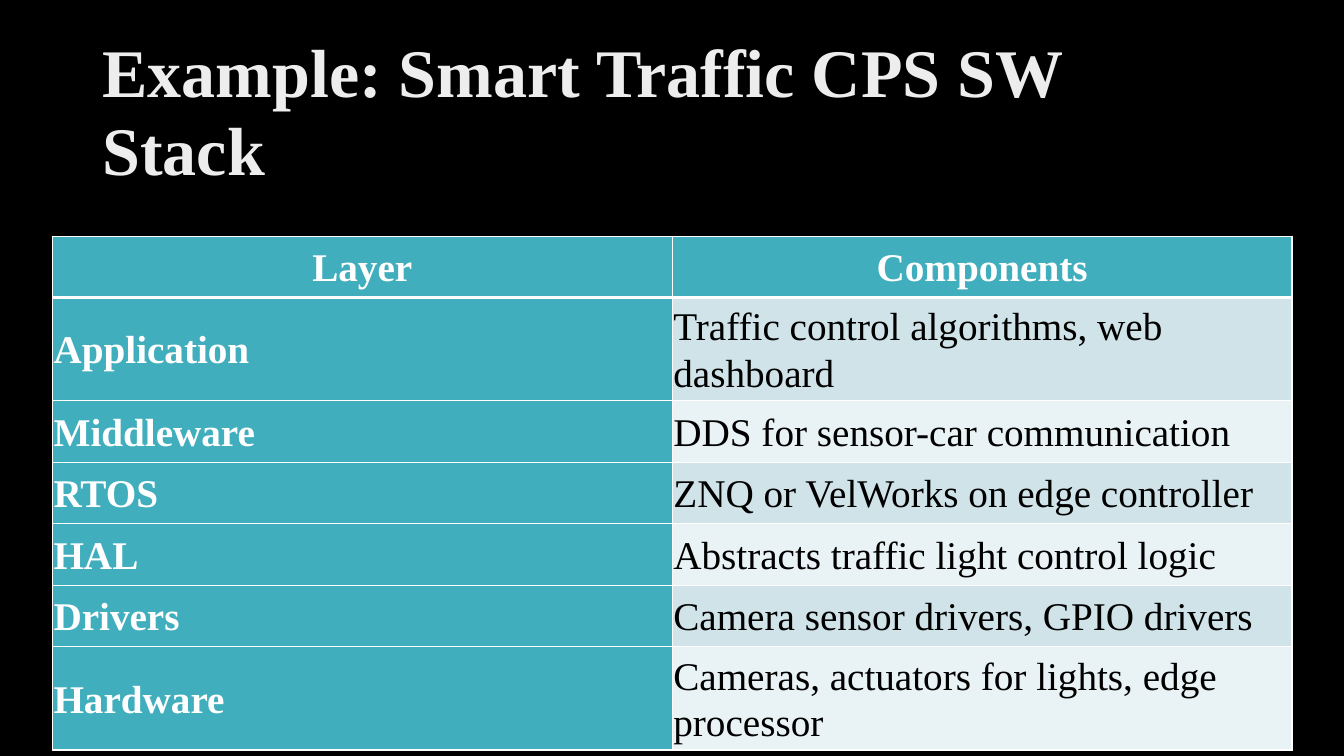
from lxml import etree
from pptx import Presentation
from pptx.dml.color import RGBColor
from pptx.enum.text import MSO_ANCHOR, PP_ALIGN
from pptx.oxml.ns import qn
from pptx.util import Cm, Pt

MIDDLE = MSO_ANCHOR.MIDDLE
LEFT, CENTER = PP_ALIGN.LEFT, PP_ALIGN.CENTER

COLORS = {
    "back": "000000",
    "title": "EDEDED",
    "teal": "41AEBD",
    "dark": "CFE3E8",
    "pale": "E9F2F4",
    "white": "FFFFFF",
    "black": "000000",
}

STACK = [
    ("Layer", "Components"),
    ("Application", "Traffic control algorithms, web dashboard"),
    ("Middleware", "DDS for sensor-car communication"),
    ("RTOS", "ZNQ or VelWorks on edge controller"),
    ("HAL", "Abstracts traffic light control logic"),
    ("Drivers", "Camera sensor drivers, GPIO drivers"),
    ("Hardware", "Cameras, actuators for lights, edge processor"),
]
TALL = ("Application", "Hardware")


def color(name):
    return RGBColor.from_string(COLORS[name])


class Page:
    """Holds the text style and the current slide."""

    font = "Times New Roman"

    def __init__(self, slide):
        self.slide = slide
        fill = slide.background.fill
        fill.solid()
        fill.fore_color.rgb = color("back")

    def label(self, frame, text, size, ink, bold, space, align=LEFT):
        para = frame.paragraphs[0]
        para.alignment = align
        para.line_spacing = space
        run = para.add_run()
        run.text = text
        run.font.name = self.font
        run.font.size = Pt(size)
        run.font.bold = bold
        run.font.color.rgb = color(ink)

    def title(self, text, left, top, width, height):
        box = self.slide.shapes.add_textbox(Cm(left), Cm(top), Cm(width), Cm(height))
        frame = box.text_frame
        frame.word_wrap = True
        frame.vertical_anchor = MIDDLE
        self.label(frame, text, 48.6, "title", True, 0.95)

    def border(self, cell, row):
        """Draw white edges, with a thick rule under the header row."""
        props = cell._tc.get_or_add_tcPr()
        thick = {"T": row == 1, "B": row == 0}
        for spot, side in enumerate("LRTB"):
            line = etree.Element(qn(f"a:ln{side}"), w=str(Pt(3 if thick.get(side) else 1)))
            fill = etree.SubElement(line, qn("a:solidFill"))
            etree.SubElement(fill, qn("a:srgbClr"), val=COLORS["white"])
            props.insert(spot, line)

    def cell(self, cell, text, row, col):
        head = row == 0
        strong = head or col == 0
        cell.margin_left = cell.margin_right = Cm(0.03)
        cell.margin_top = cell.margin_bottom = Cm(0.03)
        cell.vertical_anchor = MIDDLE
        cell.fill.solid()
        shade = "teal" if strong else "dark" if row % 2 else "pale"
        cell.fill.fore_color.rgb = color(shade)
        self.border(cell, row)
        self.label(cell.text_frame, text, 28, "white" if strong else "black",
                   strong, 1.07, CENTER if head else LEFT)

    def table(self, rows, left, top, width):
        high = [2.29 if row[0] in TALL else 1.55 for row in rows]
        count = len(rows[0])
        table = self.slide.shapes.add_table(
            len(rows), count, Cm(left), Cm(top), Cm(width), Cm(sum(high))).table
        for col in table.columns:
            col.width = Cm(width / count)
        for r, texts in enumerate(rows):
            table.rows[r].height = Cm(high[r])
            for c, text in enumerate(texts):
                self.cell(table.cell(r, c), text, r, c)


def main():
    deck = Presentation()
    deck.slide_width, deck.slide_height = Cm(33.87), Cm(19.05)
    page = Page(deck.slides.add_slide(deck.slide_layouts[6]))
    page.title("Example: Smart Traffic CPS SW Stack", 2.33, 1.01, 29.2, 3.68)
    page.table(STACK, 1.32, 5.95, 31.24)
    deck.save("out.pptx")


if __name__ == "__main__":
    main()
